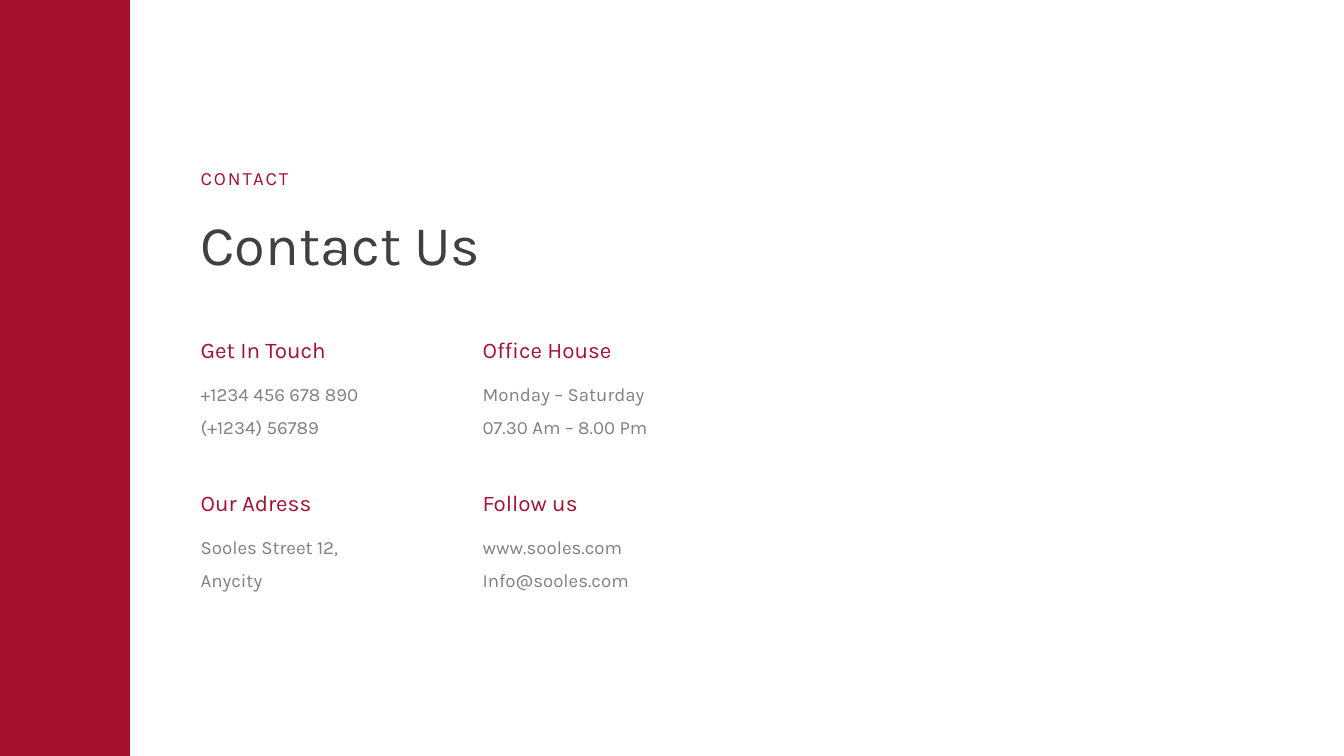
from pptx import Presentation
from pptx.dml.color import RGBColor
from pptx.enum.shapes import MSO_SHAPE
from pptx.enum.text import MSO_AUTO_SIZE
from pptx.util import Emu, Pt

EMU_PER_PX = 914400 / 67.2
FONT = "Karla"
COLORS = {
    "accent": "A70F2E",
    "panel": "FFFFFF",
    "title": "404040",
    "body": "808080",
}

# Contact grid
COLUMNS = [(194, 242), (476, 267)]  # left, width
GRID_TOP = 333
ROW_PITCH = 153
BODY_OFFSET = 35
CONTACTS = [
    [
        ("Get In Touch", ["+1234 456 678 890", "(+1234) 56789"]),
        ("Office House", ["Monday – Saturday", "07.30 Am – 8.00 Pm"]),
    ],
    [
        ("Our Adress", ["Sooles Street 12,", "Anycity"]),
        ("Follow us", ["www.sooles.com Info@sooles.com"]),
    ],
]


def px(length):
    return Emu(round(length * EMU_PER_PX))


def color(name):
    return RGBColor.from_string(COLORS[name])


def add_panel(slide, left, width, height, color_name):
    shape = slide.shapes.add_shape(
        MSO_SHAPE.RECTANGLE, px(left), 0, px(width), px(height))
    shape.shadow.inherit = False
    shape.fill.solid()
    shape.fill.fore_color.rgb = color(color_name)
    shape.line.color.rgb = color(color_name)
    shape.line.width = Pt(1)


def add_text(slide, box, lines, size, color_name, line_spacing=None, tracking=None):
    shape = slide.shapes.add_textbox(*map(px, box))
    frame = shape.text_frame
    frame.word_wrap = True
    frame.auto_size = MSO_AUTO_SIZE.SHAPE_TO_FIT_TEXT
    for index, line in enumerate(lines):
        paragraph = frame.add_paragraph() if index else frame.paragraphs[0]
        if line_spacing:
            paragraph.line_spacing = line_spacing
        run = paragraph.add_run()
        run.text = line
        run.font.name = FONT
        run.font.size = Pt(size)
        run.font.color.rgb = color(color_name)
        if tracking:
            run._r.get_or_add_rPr().set("spc", str(tracking * 100))


def add_contact(slide, left, top, width, heading, lines):
    add_text(slide, (left, top, width, 34), [heading], 24, "accent")
    add_text(slide, (left, top + BODY_OFFSET, width, 71), lines, 20, "body",
             line_spacing=1.5)


def main():
    presentation = Presentation()
    presentation.slide_width = px(1344)
    presentation.slide_height = px(756)
    slide = presentation.slides.add_slide(presentation.slide_layouts[6])

    # Side band and content panel
    add_panel(slide, 0, 130, 756, "accent")
    add_panel(slide, 130, 635, 756, "panel")

    # Heading
    add_text(slide, (194, 164, 539, 30), ["CONTACT"], 20, "accent", tracking=2)
    add_text(slide, (194, 206, 539, 75), ["Contact Us"], 60, "title")

    # Contact details
    for row, contacts in enumerate(CONTACTS):
        top = GRID_TOP + row * ROW_PITCH
        for (left, width), (heading, lines) in zip(COLUMNS, contacts):
            add_contact(slide, left, top, width, heading, lines)

    presentation.save("out.pptx")


if __name__ == "__main__":
    main()
